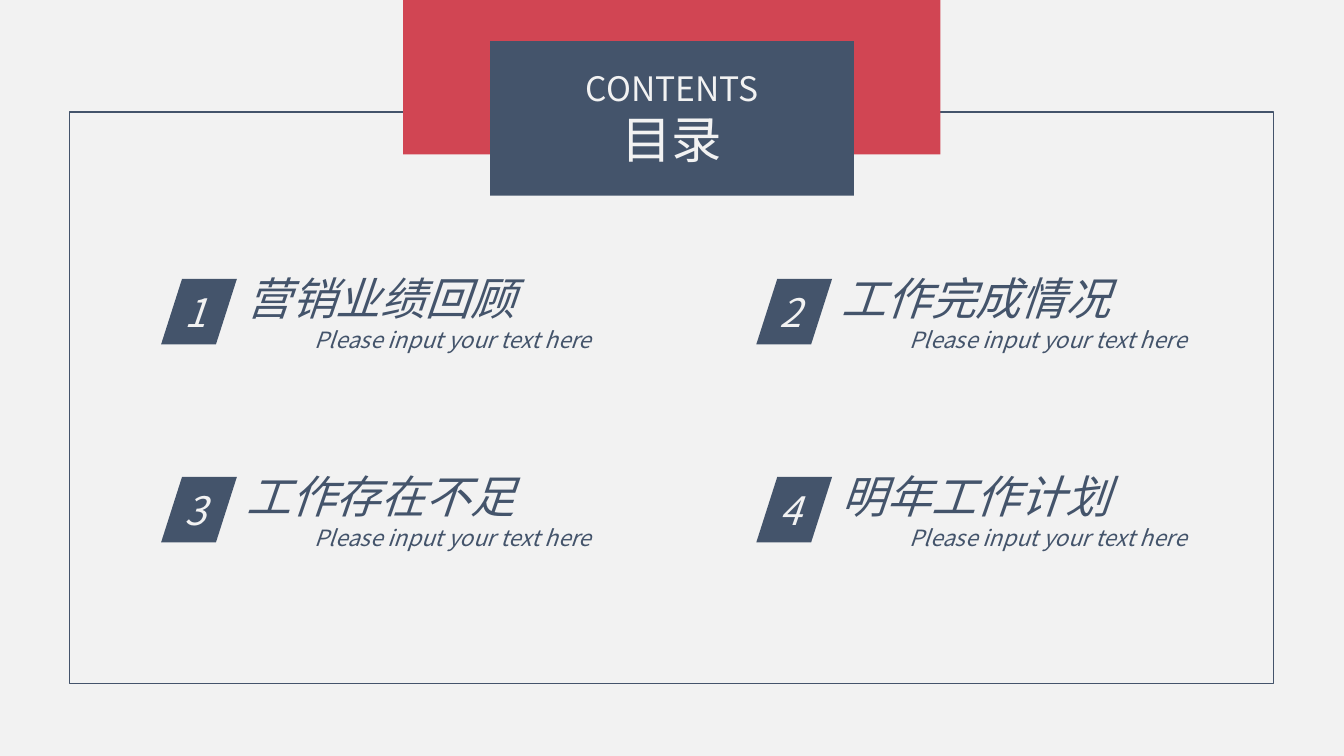
from dataclasses import dataclass
from typing import Any

import lxml.etree
import pptx
import pptx.dml.color
import pptx.enum.shapes
import pptx.enum.text
import pptx.oxml.ns
import pptx.util

Cm = pptx.util.Cm
Kind = pptx.enum.shapes.MSO_SHAPE
Align = pptx.enum.text.PP_ALIGN
Anchor = pptx.enum.text.MSO_ANCHOR

FONT = "Noto Sans CJK SC"
NAVY, RED, PALE = "44546B", "D14553", "F2F2F2"
HINT = "Please input your text here"
LEFT, TOP = 4.06, 7.03
COL_STEP, ROW_STEP = 15.0, 4.99


@dataclass
class Box:
    x: float
    y: float
    w: float
    h: float

    def place(self) -> tuple:
        return Cm(self.x), Cm(self.y), Cm(self.w), Cm(self.h)


def color(code: str) -> pptx.dml.color.RGBColor:
    return pptx.dml.color.RGBColor.from_string(code)


def style(para: Any, size: float, code: str, slant: bool = False) -> None:
    for run in para.runs:
        font = run.font
        font.name, font.size = FONT, pptx.util.Pt(size)
        font.color.rgb = color(code)
        if slant:
            font.italic = True
        # East Asian typeface for the Chinese text
        face = lxml.etree.SubElement(run._r.get_or_add_rPr(), pptx.oxml.ns.qn("a:ea"))
        face.set("typeface", FONT)


def add_block(shapes: Any, kind: Kind, box: Box, fill: str = "", line: str = "") -> Any:
    block = shapes.add_shape(kind, *box.place())
    block.shadow.inherit = False
    if fill:
        block.fill.solid()
        block.fill.fore_color.rgb = color(fill)
    else:
        block.fill.background()
    if line:
        block.line.color.rgb = color(line)
        block.line.width = pptx.util.Pt(1)
    else:
        block.line.fill.background()
    return block


def center(block: Any, right: float, edge: float) -> Any:
    frame = block.text_frame
    frame.vertical_anchor = Anchor.MIDDLE
    frame.margin_left, frame.margin_right = Cm(0), Cm(right)
    frame.margin_top = frame.margin_bottom = Cm(edge)
    return frame


def add_label(shapes: Any, box: Box, text: str, size: float) -> None:
    frame = shapes.add_textbox(*box.place()).text_frame
    frame.word_wrap = False
    frame.auto_size = pptx.enum.text.MSO_AUTO_SIZE.SHAPE_TO_FIT_TEXT
    frame.text = text
    style(frame.paragraphs[0], size, NAVY, True)


def add_item(slide: Any, index: int, title: str) -> None:
    row, col = divmod(index, 2)
    x, y = LEFT + col * COL_STEP, TOP + row * ROW_STEP
    shapes = slide.shapes.add_group_shape().shapes

    # Slanted number tag
    tag = add_block(shapes, Kind.PARALLELOGRAM, Box(x, y, 1.91, 1.65), NAVY)
    tag.adjustments[0] = 0.32
    frame = center(tag, 0.2, 0.13)
    frame.text = str(index + 1)
    frame.paragraphs[0].alignment = Align.CENTER
    style(frame.paragraphs[0], 28, PALE, True)

    # Title and hint
    add_label(shapes, Box(x + 1.9, y - 0.34, 7.34, 1.63), title, 32)
    add_label(shapes, Box(x + 3.62, y + 1.07, 7.49, 0.94), HINT, 16)


def main() -> None:
    deck = pptx.Presentation()
    deck.slide_width, deck.slide_height = Cm(33.87), Cm(19.05)
    slide = deck.slides.add_slide(deck.slide_layouts[6])
    back = slide.background.fill
    back.solid()
    back.fore_color.rgb = color(PALE)

    # Frame and heading
    add_block(slide.shapes, Kind.RECTANGLE, Box(1.75, 2.82, 30.35, 14.4), line=NAVY)
    add_block(slide.shapes, Kind.RECTANGLE, Box(10.16, 0, 13.54, 3.89), RED)
    head = add_block(slide.shapes, Kind.RECTANGLE, Box(12.35, 1.04, 9.17, 3.89), NAVY)
    frame = center(head, 0, 0)
    frame.text = "CONTENTS\n目录"
    for para, size in zip(frame.paragraphs, (24, 36)):
        para.alignment = Align.CENTER
        style(para, size, PALE)

    # Contents in a two by two grid
    titles = ("营销业绩回顾", "工作完成情况", "工作存在不足", "明年工作计划")
    for index, title in enumerate(titles):
        add_item(slide, index, title)

    deck.save("out.pptx")


if __name__ == "__main__":
    main()
